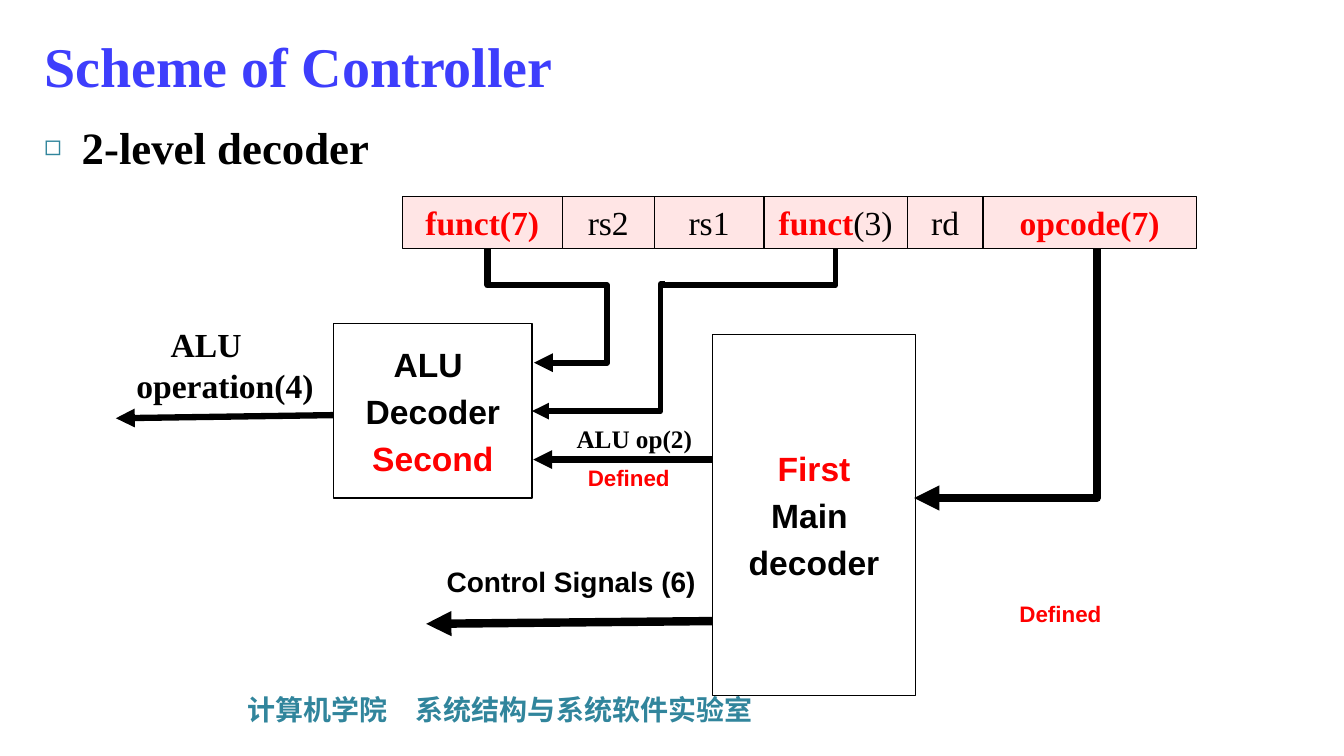
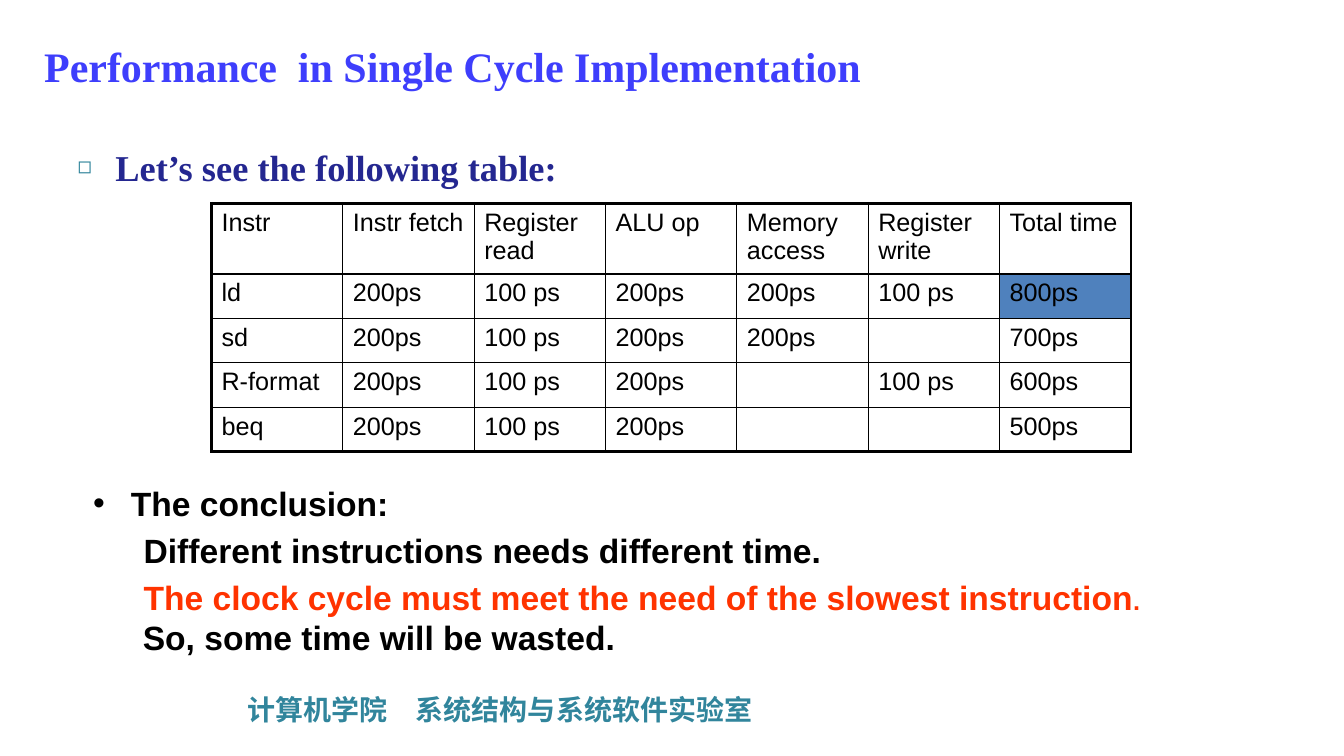
from lxml.etree import SubElement
from pptx import Presentation
from pptx.dml.color import RGBColor
from pptx.enum.shapes import MSO_CONNECTOR, MSO_SHAPE
from pptx.enum.text import MSO_ANCHOR, MSO_AUTO_SIZE, PP_ALIGN
from pptx.oxml.ns import qn
from pptx.util import Cm, Pt

COLORS = {
    "title": "3E3EFC", "teal": "31859C", "navy": "242790", "black": "000000",
    "red": "FF0000", "orange": "FF3300", "pink": "FFE5E5", "blue": "4F81BD",
}
RGB = {name: RGBColor.from_string(value) for name, value in COLORS.items()}
SERIF, SANS, CJK = "Times New Roman", "Arial", "Noto Sans CJK SC"
SQUARE, DOT = ("◻", "teal", 64), ("•", "black", 100)
CENTER = PP_ALIGN.CENTER


def write(tf, text, new=True, size=24, font=SANS, color="black", bold=True,
          align=PP_ALIGN.LEFT, anchor=None, wrap=True, before=0,
          margin=0, indent=0, bullet=None):
    """Add text as a new paragraph, or as a run of the last one if new is False."""
    tf.word_wrap = wrap
    if anchor is not None:
        tf.vertical_anchor = anchor
    p = tf.paragraphs[-1]
    if new:
        if p.runs:
            p = tf.add_paragraph()
            p.space_before = Pt(before)
        p.alignment = align
        pPr = p._p.get_or_add_pPr()
        pPr.set("marL", str(Cm(margin)))
        pPr.set("indent", str(Cm(indent)))
        if bullet:
            char, bullet_color, percent = bullet
            clr = SubElement(pPr, qn("a:buClr"))
            SubElement(clr, qn("a:srgbClr"), val=COLORS[bullet_color])
            SubElement(pPr, qn("a:buSzPct"), val=str(percent * 1000))
            SubElement(pPr, qn("a:buFont"), typeface=SANS)
            SubElement(pPr, qn("a:buChar"), char=char)
    r = p.add_run()
    r.text = text
    r.font.size = Pt(size)
    r.font.bold = bold
    r.font.color.rgb = RGB[color]
    r.font.name = font
    SubElement(r._r.get_or_add_rPr(), qn("a:ea"), typeface=font)


def draw_line(line, width, arrow=True):
    line.line.color.rgb = RGB["black"]
    line.line.width = Pt(width)
    spPr = line.element.spPr
    if arrow:
        SubElement(spPr.find(qn("a:ln")), qn("a:tailEnd"), type="triangle")
    SubElement(spPr, qn("a:effectLst"))


prs = Presentation()
prs.slide_width, prs.slide_height = Cm(33.87), Cm(19.05)

# Shared frame: title, footer and opening bullet
slides = []
for title, title_size, opening, opening_size, opening_color, left, top in [
    ("Scheme of Controller", 40, "2-level decoder", 32, "black", 0.86, 2.9),
    ("Performance  in Single Cycle Implementation", 30,
     "Let’s see the following table:", 26, "navy", 1.71, 3.53),
]:
    s = prs.slides.add_slide(prs.slide_layouts[5])
    slides.append(s)
    head = s.shapes.title
    head.left, head.top, head.width, head.height = Cm(0.86), Cm(0.33), Cm(29.16), Cm(2.64)
    head.text_frame.auto_size = MSO_AUTO_SIZE.NONE
    write(head.text_frame, title, size=title_size, font=SERIF, color="title",
          anchor=MSO_ANCHOR.MIDDLE)
    footer = s.shapes.add_textbox(Cm(5.99), Cm(17.32), Cm(24.54), Cm(1.12))
    write(footer.text_frame, "计算机学院　系统结构与系统软件实验室", size=20, font=CJK,
          color="teal")
    body = s.shapes.add_textbox(Cm(left), Cm(top), Cm(26), Cm(1.55))
    write(body.text_frame, opening, size=opening_size, font=SERIF, color=opening_color,
          margin=0.95, indent=-0.95, bullet=SQUARE)

# Slide 1: two-level decoder diagram
s = slides[0]
for x, y, w, h, lines in [
    (17.96, 8.43, 5.11, 9.1, [("First", "red"), ("Main ", "black"), ("decoder", "black")]),
    (8.41, 8.15, 5, 4.4, [("ALU ", "black"), ("Decoder", "black"), ("Second", "red")]),
]:
    sp = s.shapes.add_shape(MSO_SHAPE.RECTANGLE, Cm(x), Cm(y), Cm(w), Cm(h))
    sp.shadow.inherit = False
    sp.fill.background()
    sp.line.color.rgb = RGB["black"]
    sp.line.width = Pt(1)
    for text, color in lines:
        write(sp.text_frame, text, color=color, align=CENTER, wrap=False,
              anchor=MSO_ANCHOR.MIDDLE, before=4.8)

for x1, y1, x2, y2, width in [
    (17.96, 11.58, 13.44, 11.58, 4.5),
    (17.96, 15.65, 10.74, 15.72, 6),
    (8.41, 10.46, 2.92, 10.54, 4.5),
]:
    line = s.shapes.add_connector(MSO_CONNECTOR.STRAIGHT, Cm(x1), Cm(y1), Cm(x2), Cm(y2))
    draw_line(line, width)

# The funct(3) wire: one bend under the field, then two bends into the ALU decoder
for x1, y1, x2, y2, preset, adjust, arrow in [
    (16.71, 7.19, 21.06, 6.25, "bentConnector2", None, False),
    (16.76, 7.16, 13.41, 10.36, "bentConnector3", 3300, True),
]:
    elbow = s.shapes.add_connector(MSO_CONNECTOR.ELBOW, Cm(x1), Cm(y1), Cm(x2), Cm(y2))
    geom = elbow.element.spPr.find(qn("a:prstGeom"))
    geom.set("prst", preset)
    if adjust:
        SubElement(geom.find(qn("a:avLst")), qn("a:gd"), name="adj1", fmla=f"val {adjust}")
    draw_line(elbow, 4, arrow)

for width, points in [
    (4.5, [(12.29, 5.94), (12.29, 7.19), (15.29, 7.19), (15.29, 9.14), (13.46, 9.14)]),
    (6, [(27.64, 6.15), (27.64, 12.55), (23.04, 12.55)]),
]:
    corners = [(Cm(x), Cm(y)) for x, y in points]
    builder = s.shapes.build_freeform(*corners[0])
    builder.add_line_segments(corners[1:], close=False)
    wire = builder.convert_to_shape()
    wire.fill.background()
    draw_line(wire, width)

x = 10.14
for width, name, bits in [
    (4.03, "funct(7)", ""), (2.32, "", "rs2"), (2.76, "", "rs1"),
    (3.62, "funct", "(3)"), (1.9, "", "rd"), (5.38, "opcode(7)", ""),
]:
    field = s.shapes.add_shape(MSO_SHAPE.RECTANGLE, Cm(x), Cm(4.96), Cm(width), Cm(1.3))
    field.shadow.inherit = False
    field.fill.solid()
    field.fill.fore_color.rgb = RGB["pink"]
    field.line.color.rgb = RGB["black"]
    field.line.width = Pt(1)
    fmt = dict(font=SERIF, align=CENTER, anchor=MSO_ANCHOR.TOP)
    if name:
        write(field.text_frame, name, color="red", **fmt)
    if bits:
        write(field.text_frame, bits, new=not name, bold=False, **fmt)
    x += width

for x, y, w, h, text, fmt in [
    (10.1, 13.87, 8.4, 1.57, " Control Signals (6)",
     dict(size=20, wrap=False, anchor=MSO_ANCHOR.MIDDLE)),
    (2.11, 8.05, 6.17, 2.31, "ALU operation(4)",
     dict(font=SERIF, margin=0.95, indent=-0.95)),
    (14.27, 10.54, 3.43, 1.02, "ALU op(2)", dict(size=18, font=SERIF, wrap=False)),
    (14.55, 11.56, 2.59, 0.94, "Defined", dict(size=16, color="red", wrap=False)),
    (25.43, 15.01, 2.59, 0.94, "Defined", dict(size=16, color="red", wrap=False)),
]:
    label = s.shapes.add_textbox(Cm(x), Cm(y), Cm(w), Cm(h))
    write(label.text_frame, text, align=CENTER, **fmt)

# Slide 2: instruction timing table and conclusion
s = slides[1]
rows = [
    ["Instr", "Instr fetch", "Register read", "ALU op", "Memory access",
     "Register write", "Total time"],
    ["ld", "200ps", "100 ps", "200ps", "200ps", "100 ps", "800ps"],
    ["sd", "200ps", "100 ps", "200ps", "200ps", "", "700ps"],
    ["R-format", "200ps", "100 ps", "200ps", "", "100 ps", "600ps"],
    ["beq", "200ps", "100 ps", "200ps", "", "", "500ps"],
]
n_rows, n_cols = len(rows), len(rows[0])
table = s.shapes.add_table(n_rows, n_cols, Cm(5.33), Cm(5.12), Cm(23.2), Cm(6.26)).table
table.first_row = table.horz_banding = False
for col in table.columns:
    col.width = Cm(3.31)
for i, row in enumerate(rows):
    table.rows[i].height = Cm(1.12 if i else 1.78)
    for j, text in enumerate(row):
        cell = table.cell(i, j)
        write(cell.text_frame, text, size=18, bold=False)
        borders = {
            "a:lnL": 1 if j else 2.25,
            "a:lnR": 1 if j < n_cols - 1 else 2.25,
            "a:lnT": {0: 2.25, 1: 1.5}.get(i, 1),
            "a:lnB": {0: 1.5, n_rows - 1: 2.25}.get(i, 1),
        }
        tcPr = cell._tc.get_or_add_tcPr()
        for tag, width in borders.items():
            ln = SubElement(tcPr, qn(tag), w=str(Pt(width)))
            SubElement(SubElement(ln, qn("a:solidFill")), qn("a:srgbClr"), val=COLORS["black"])
        if text == "800ps":
            cell.fill.solid()
            cell.fill.fore_color.rgb = RGB["blue"]
        else:
            cell.fill.background()

panel = s.shapes.add_shape(MSO_SHAPE.ROUNDED_RECTANGLE, Cm(1.93), Cm(11.87), Cm(28.07), Cm(4.65))
panel.adjustments[0] = 0.125
panel.shadow.inherit = False
panel.fill.background()
panel.line.fill.background()
tf = panel.text_frame
write(tf, "The conclusion:", margin=0.95, indent=-0.95, bullet=DOT, anchor=MSO_ANCHOR.TOP)
write(tf, "Different instructions needs different time.", margin=1.27, before=4.8)
write(tf, "The clock cycle must meet the need of the slowest instruction",
      color="orange", margin=1.25, indent=0.02, before=4.8)
write(tf, ". ", new=False, size=18, color="orange")
write(tf, "So, some time will be wasted.", new=False)

prs.save("out.pptx")
